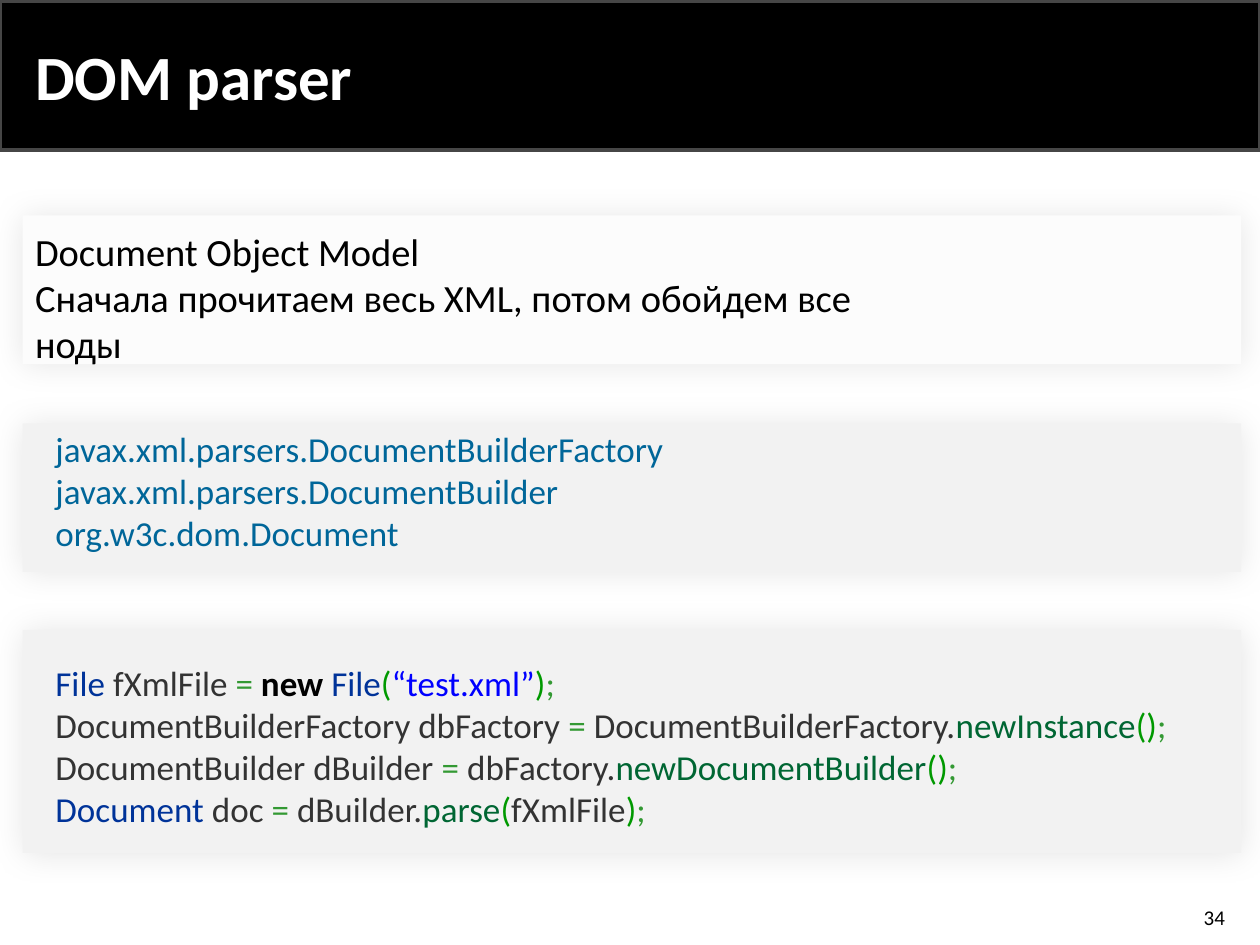
from lxml import etree
from pptx import Presentation
from pptx.dml.color import RGBColor
from pptx.enum.shapes import MSO_SHAPE
from pptx.enum.text import MSO_ANCHOR, PP_ALIGN
from pptx.oxml.ns import qn
from pptx.util import Inches, Pt

RECTANGLE = MSO_SHAPE.RECTANGLE
TOP, MIDDLE = MSO_ANCHOR.TOP, MSO_ANCHOR.MIDDLE
LEFT, RIGHT = PP_ALIGN.LEFT, PP_ALIGN.RIGHT

BLACK, WHITE = "000000", "FFFFFF"
TYPE, NAME, SYMBOL, BRACKET = "003399", "333333", "339933", "009900"
METHOD, STRING, KEYWORD = "006633", "0000FF", BLACK

ASSIGN = ("= ", SYMBOL)
CALL = ("()", BRACKET)
OPEN, CLOSE = ("(", BRACKET), (")", BRACKET)
END = (";", SYMBOL)

PANEL_LEFT, PANEL_WIDTH = 0.18, 9.67
CODE_LEFT = 0.44
CODE_INSETS = (0, 0, 0, 0.2)

CLASSES = [
    "javax.xml.parsers.DocumentBuilderFactory",
    "javax.xml.parsers.DocumentBuilder",
    "org.w3c.dom.Document",
]
CODE = [
    [("File ", TYPE), ("fXmlFile ", NAME), ASSIGN, ("new ", KEYWORD), ("File", TYPE),
     OPEN, ("“test.xml”", STRING), CLOSE, END],
    [("DocumentBuilderFactory dbFactory ", NAME), ASSIGN,
     ("DocumentBuilderFactory.", NAME), ("newInstance", METHOD), CALL, END],
    [("DocumentBuilder dBuilder ", NAME), ASSIGN,
     ("dbFactory.", NAME), ("newDocumentBuilder", METHOD), CALL, END],
    [("Document", TYPE), (" doc ", NAME), ASSIGN, ("dBuilder.", NAME),
     ("parse", METHOD), OPEN, ("fXmlFile", NAME), CLOSE, END],
]


def color(value):
    return RGBColor.from_string(value)


class SlideBuilder:
    font = "Calibri"

    def __init__(self, slide):
        self.slide = slide

    def rectangle(self, left, top, width, height, fill, line=None, line_width=2):
        shape = self.slide.shapes.add_shape(
            RECTANGLE, Inches(left), Inches(top), Inches(width), Inches(height))
        shape.shadow.inherit = False
        shape.fill.solid()
        shape.fill.fore_color.rgb = color(fill)
        if line:
            shape.line.color.rgb = color(line)
            shape.line.width = Pt(line_width)
        else:
            shape.line.fill.background()
        return shape

    def panel(self, top, height, fill):
        """Add a full-width box with a soft shadow."""
        shape = self.rectangle(PANEL_LEFT, top, PANEL_WIDTH, height, fill)
        effects = shape.element.spPr.find(qn("a:effectLst"))
        shadow = etree.SubElement(effects, qn("a:outerShdw"),
                                  blurRad=str(Pt(19)), dist="0", dir="0")
        shade = etree.SubElement(shadow, qn("a:srgbClr"), val=BLACK)
        etree.SubElement(shade, qn("a:alpha"), val="10000")

    def text(self, lines, left, top, width, height, size=20, fill=BLACK, bold=False,
             align=LEFT, anchor=MIDDLE, insets=(0.1, 0.05, 0.1, 0.05)):
        """Add one paragraph per line; a line is a string or (text, colour) runs."""
        box = self.slide.shapes.add_textbox(
            Inches(left), Inches(top), Inches(width), Inches(height))
        frame = box.text_frame
        frame.word_wrap = True
        frame.vertical_anchor = anchor
        (frame.margin_left, frame.margin_top,
         frame.margin_right, frame.margin_bottom) = map(Inches, insets)
        for index, line in enumerate(lines):
            paragraph = frame.add_paragraph() if index else frame.paragraphs[0]
            paragraph.alignment = align
            runs = [(line, fill)] if isinstance(line, str) else line
            for words, run_color in runs:
                run = paragraph.add_run()
                run.text = words
                run.font.name = self.font
                run.font.size = Pt(size)
                run.font.bold = bold or words == "new "
                run.font.color.rgb = color(run_color)


def main():
    presentation = Presentation()
    presentation.slide_width = Inches(10)
    presentation.slide_height = Inches(7.5)
    builder = SlideBuilder(presentation.slides.add_slide(presentation.slide_layouts[6]))

    builder.rectangle(0, 0.01, 10, 1.18, BLACK, line="464646")
    for top, height, fill in [(1.71, 1.18, "FCFCFC"), (3.36, 1.18, "F2F2F2"),
                              (5, 1.77, "F2F2F2")]:
        builder.panel(top, height, fill)

    builder.text(["DOM parser"], PANEL_LEFT, 0.1, 8.15, 1, size=36, fill=WHITE, bold=True)
    builder.text(["34"], 7.54, 7.13, 2.28, 0.3, size=12, align=RIGHT)
    builder.text(["Document Object Model",
                  "Сначала прочитаем весь XML, потом обойдем все ноды"],
                 PANEL_LEFT, 1.76, 7.3, 0.84, size=22, anchor=TOP)
    builder.text(CLASSES, CODE_LEFT, 3.39, 8.58, 1.21, fill="006699", insets=CODE_INSETS)
    builder.text(CODE, CODE_LEFT, 5.25, 8.96, 1.54, insets=CODE_INSETS)

    presentation.save("out.pptx")


if __name__ == "__main__":
    main()
